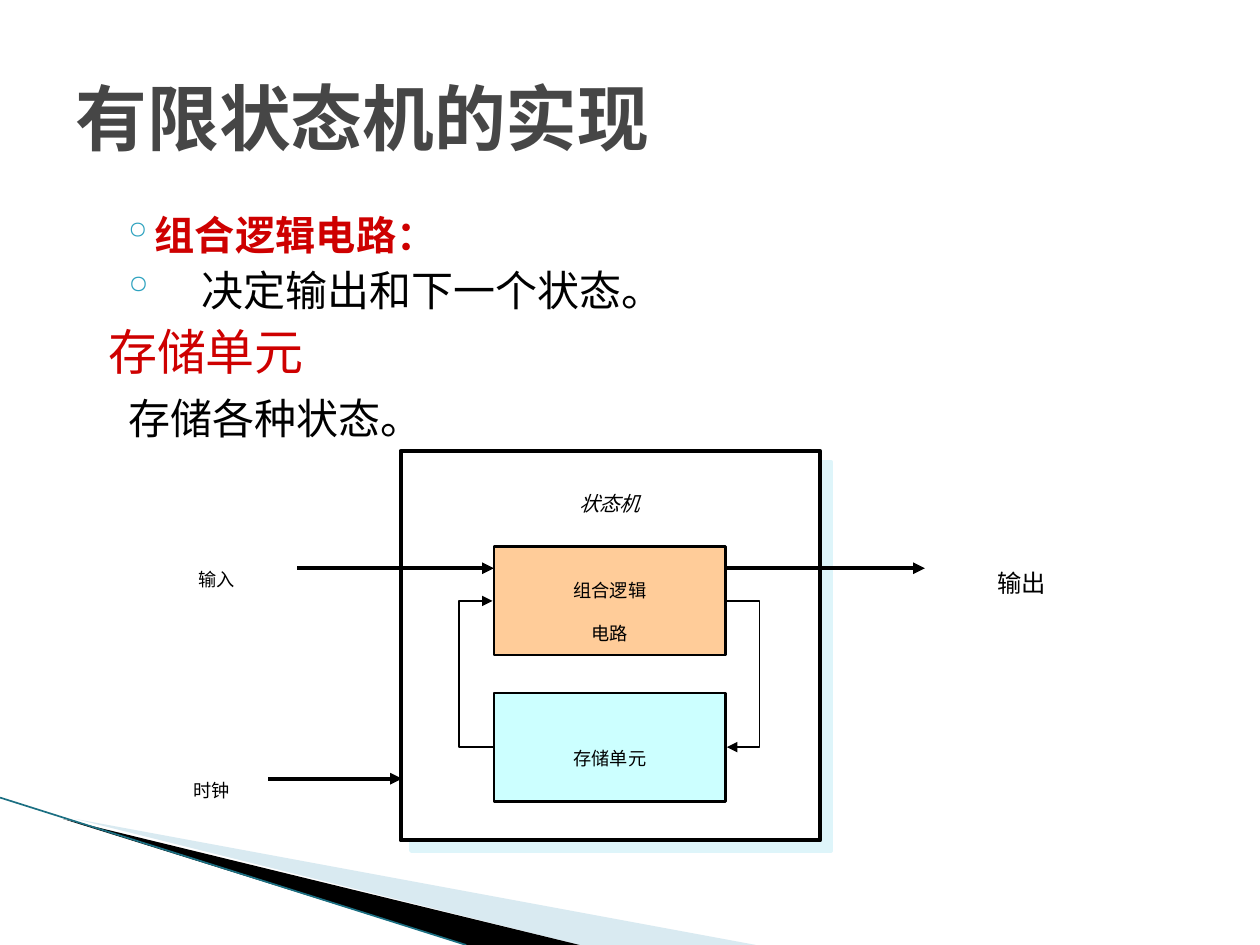
from lxml import etree
from pptx import Presentation, util as u
from pptx.dml.color import RGBColor
from pptx.enum import shapes, text
from pptx.oxml import ns

COLS, ROWS = 100, 75
CELL = u.Inches(0.1)
ELBOW_STEP = 0.1
BODY_FONT = "DejaVu Sans Mono"
BLACK, RED = "000000", "CE0000"


def grid(*cells):
    return [u.Emu(round(c * CELL)) for c in cells]


def rgb(value):
    return RGBColor.from_string(value)


def add_xml(parent, tag, **attrs):
    return etree.SubElement(parent, ns.qn(tag), attrs)


def style(p, size, font, color=BLACK, bold=False, italic=False, baseline=None):
    for r in p.runs:
        r.font.size, r.font.name = u.Pt(size), font
        r.font.bold, r.font.italic = bold, italic
        r.font.color.rgb = rgb(color)
        rPr = r.font._element
        add_xml(rPr, "a:ea", typeface=font)
        if baseline:
            rPr.set("baseline", baseline)


def add_title(s, words):
    title = s.shapes.title
    title.left, title.top, title.width, title.height = grid(5, 3, 90, 12.5)
    tf = title.text_frame
    tf.text = words
    tf.vertical_anchor = text.MSO_ANCHOR.MIDDLE
    tf.paragraphs[0].alignment = text.PP_ALIGN.LEFT
    style(tf.paragraphs[0], 41, BODY_FONT, "464646", bold=True)


def add_body(s, items):
    tf = s.shapes.add_textbox(*grid(5, 16.2, 90, 49.5)).text_frame
    tf.word_wrap = True
    tf.text = "\n".join(item[0] for item in items)
    for p, (_, size, color, bold, before, margin, hang) in zip(tf.paragraphs, items):
        p.space_before = u.Pt(before)
        pPr = p._p.get_or_add_pPr()
        margin, hang = grid(margin, hang)
        pPr.set("marL", str(margin))
        pPr.set("indent", str(-hang))
        if hang:
            add_xml(add_xml(pPr, "a:buClr"), "a:srgbClr", val="2DA2BF")
            add_xml(pPr, "a:buChar", char="◦")
        style(p, size, BODY_FONT, color, bold)


def fill_text(sp, words, size, italic=False):
    tf = sp.text_frame
    tf.text = words
    tf.word_wrap = False
    tf.vertical_anchor = text.MSO_ANCHOR.MIDDLE
    for p in tf.paragraphs:
        p.alignment = text.PP_ALIGN.CENTER
        style(p, size, "Arial", italic=italic, baseline="-25000")


def add_label(s, words, x, y, w, h, size=18, italic=False):
    fill_text(s.shapes.add_textbox(*grid(x, y, w, h)), words, size, italic)


def add_box(s, x, y, w, h, fill, weight, words=""):
    sp = s.shapes.add_shape(shapes.MSO_SHAPE.RECTANGLE, *grid(x, y, w, h))
    sp.shadow.inherit = False
    sp.fill.solid()
    sp.fill.fore_color.rgb = rgb(fill)
    sp.line.color.rgb = rgb(BLACK)
    sp.line.width = u.Pt(weight)
    if words:
        fill_text(sp, words, 18)
    return sp


def cast_shadow(sp, color, distance):
    effects = sp._element.spPr.find(ns.qn("a:effectLst"))
    shadow = add_xml(effects, "a:outerShdw", dist=str(u.Pt(distance)),
                     dir="2700000", algn="ctr", rotWithShape="0")
    add_xml(shadow, "a:srgbClr", val=color)


def add_line(s, x1, y1, x2, y2, weight, color=BLACK, arrow=True,
             kind=shapes.MSO_CONNECTOR.STRAIGHT):
    c = s.shapes.add_connector(kind, *grid(x1, y1, x2, y2))
    c.line.color.rgb = rgb(color)
    c.line.width = u.Pt(weight)
    if arrow:
        add_xml(c.line._get_or_add_ln(), "a:tailEnd", type="triangle")
    add_xml(c._element.spPr, "a:effectLst")
    return c


def add_loop(s, x, y1, y2, reach):
    step = ELBOW_STEP if reach > 0 else -ELBOW_STEP
    c = add_line(s, x, y1, x + step, y2, 0.75, kind=shapes.MSO_CONNECTOR.ELBOW)
    guides = c._element.spPr.find(ns.qn("a:prstGeom")).get_or_add_avLst()
    add_xml(guides, "a:gd", name="adj1", fmla=f"val {round(reach / step * 100000)}")


def add_wedge(s, points, color, alpha=None):
    fb = s.shapes.build_freeform(*points[0], scale=CELL)
    fb.add_line_segments(points[1:], close=True)
    sp = fb.convert_to_shape()
    sp.shadow.inherit = False
    sp.fill.solid()
    sp.fill.fore_color.rgb = rgb(color)
    sp.line.fill.background()
    if alpha:
        clr = sp._element.spPr.find(ns.qn("a:solidFill"))[0]
        add_xml(clr, "a:alpha", val=str(alpha * 1000))


def add_decoration(s):
    add_wedge(s, [(5.5, 65), (59.5, ROWS), (45.6, ROWS)], "A0CBDC", 40)
    add_wedge(s, [(5.3, 64.9), (45.5, ROWS), (37, ROWS)], BLACK)
    add_line(s, 0, 63.3, 37, ROWS, 0.95, "1B6F82", arrow=False)


def add_diagram(s):
    left, width, height = 39.2, 18.4, 8.6
    right = left + width
    logic_y, store_y = 43.4, 55
    logic_mid, store_mid = logic_y + height / 2, store_y + height / 2
    signal_y, clock_y = 45.1, 61.8

    add_label(s, "时钟", 12.4, 59.4, 8.8, 5)
    add_line(s, 21.3, clock_y, 31.9, clock_y, 2.25)
    machine = add_box(s, 31.8, 35.8, 33.3, 30.9, "FFFFFF", 2.25)
    cast_shadow(machine, "DEF5FA", 8.5)
    add_label(s, "状态机", 43.2, 36.8, 10.4, 4.4, 20, italic=True)
    add_box(s, left, logic_y, width, height, "FFCC99", 1.5, "组合逻辑\n电路")
    add_box(s, left, store_y, width, height, "CCFFFF", 1.5, "存储单元")
    add_label(s, "输入", 12.8, 42.6, 8.8, 5)
    add_label(s, "输出", 76.7, 42.6, 8.8, 5, 24)
    add_line(s, 23.6, signal_y, left, signal_y, 2.25)
    add_line(s, right, signal_y, 73.4, signal_y, 2.25)
    add_loop(s, right, logic_mid, store_mid, 2.7)
    add_loop(s, left, store_mid, logic_mid, -2.8)


def main():
    prs = Presentation()
    prs.slide_width, prs.slide_height = grid(COLS, ROWS)
    s = prs.slides.add_slide(prs.slide_layouts[5])
    add_decoration(s)
    add_title(s, "有限状态机的实现")
    add_body(s, [
        ("组合逻辑电路：", 23, RED, True, 3.2, 6.3, 2.6),
        ("决定输出和下一个状态。", 24, BLACK, False, 3.2, 10, 6.3),
        ("存储单元", 28, RED, False, 4, 2.6, 0),
        ("存储各种状态。", 24, BLACK, False, 7, 4.2, 0),
    ])
    add_diagram(s)
    prs.save("out.pptx")


if __name__ == "__main__":
    main()
